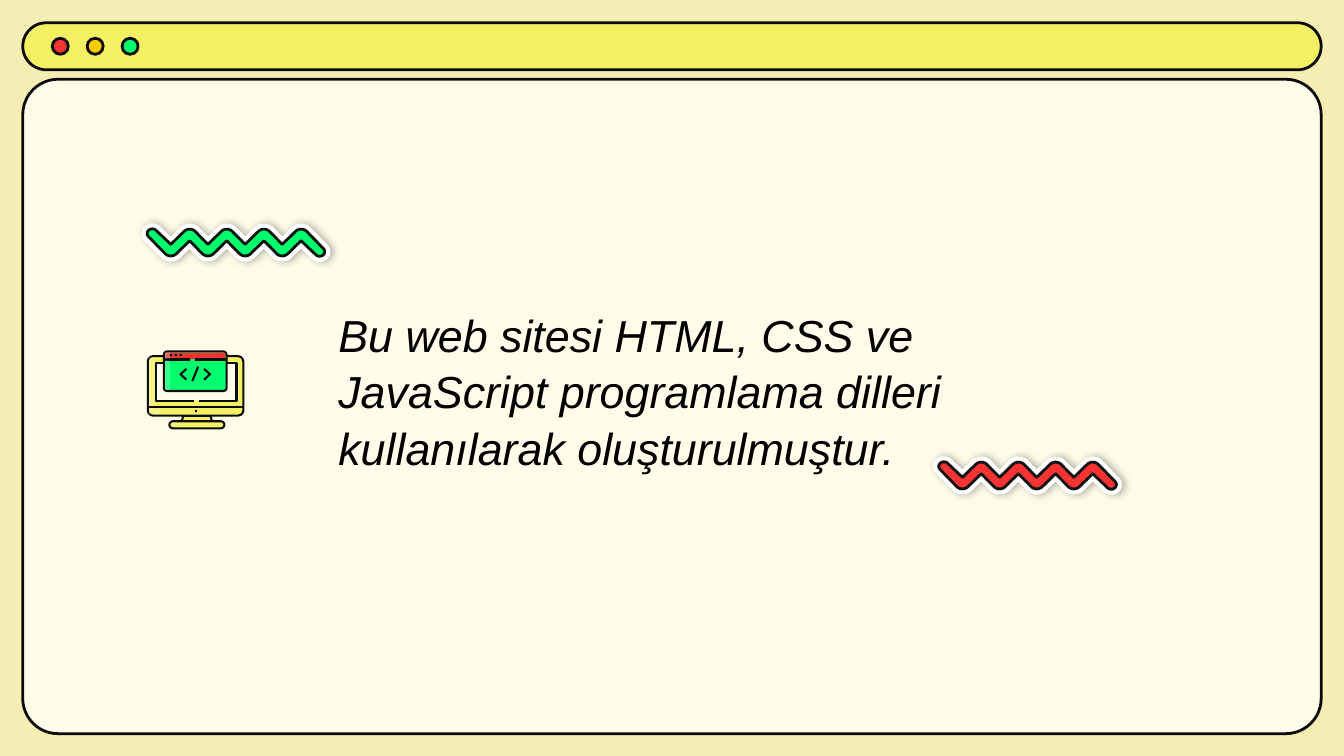
from dataclasses import dataclass

from lxml import etree
from pptx import Presentation
from pptx.dml.color import RGBColor
from pptx.enum.shapes import MSO_CONNECTOR, MSO_SHAPE
from pptx.enum.text import MSO_ANCHOR, MSO_AUTO_SIZE, PP_ALIGN
from pptx.oxml.ns import qn
from pptx.util import Pt

RECT = MSO_SHAPE.RECTANGLE
ROUND = MSO_SHAPE.ROUNDED_RECTANGLE
OVAL = MSO_SHAPE.OVAL
STRAIGHT = MSO_CONNECTOR.STRAIGHT
TOP = MSO_ANCHOR.TOP
LEFT = PP_ALIGN.LEFT
GROW = MSO_AUTO_SIZE.SHAPE_TO_FIT_TEXT


@dataclass(frozen=True)
class Theme:
    sand: str = "F5EDB3"
    cream: str = "FFFCEA"
    yellow: str = "F3F064"
    red: str = "F53333"
    amber: str = "FFCC00"
    green: str = "00FF6C"
    ink: str = "0B0B0B"
    edge: str = "131313"
    white: str = "FFFFFF"
    black: str = "000000"
    font: str = "Arial"
    size: float = 24
    frame: float = 1.5
    halo: float = 6
    thin: float = 1.1


class Pen:
    """Draws styled elements on the current slide, with lengths in points."""

    def __init__(self, theme, slide):
        self.theme = theme
        self.slide = slide
        self.shapes = slide.shapes

    def ground(self, color):
        fill = self.slide.background.fill
        fill.solid()
        fill.fore_color.rgb = RGBColor.from_string(color)

    def stroke(self, shape, color, width):
        shape.line.color.rgb = RGBColor.from_string(color)
        shape.line.width = Pt(width)

    def paint(self, shape, fill, line, width, alpha=None):
        shape.shadow.inherit = False
        if fill:
            shape.fill.solid()
            shape.fill.fore_color.rgb = RGBColor.from_string(fill)
        else:
            shape.fill.background()
        if alpha:
            tone = shape._element.spPr.find(qn("a:solidFill"))[0]
            etree.SubElement(tone, qn("a:alpha"), val=str(alpha * 1000))
        if line:
            self.stroke(shape, line, width)
        else:
            shape.line.fill.background()
        return shape

    def box(self, kind, x, y, w, h, fill, line=None, width=0, turn=None, alpha=None):
        shape = self.shapes.add_shape(kind, Pt(x), Pt(y), Pt(w), Pt(h))
        if turn is not None:
            shape.adjustments[0] = turn
        return self.paint(shape, fill, line, width, alpha)

    def form(self, points, fill, line, width, close=True):
        spots = [(Pt(x), Pt(y)) for x, y in points]
        maker = self.shapes.build_freeform(*spots[0])
        maker.add_line_segments(spots[1:], close=close)
        return self.paint(maker.convert_to_shape(), fill, line, width)

    def line(self, x1, y1, x2, y2, color, width):
        link = self.shapes.add_connector(STRAIGHT, Pt(x1), Pt(y1), Pt(x2), Pt(y2))
        self.stroke(link, color, width)
        etree.SubElement(link._element.spPr, qn("a:effectLst"))
        return link

    def glow(self, shape, color, alpha, blur, shift):
        effects = shape._element.spPr.find(qn("a:effectLst"))
        shade = etree.SubElement(effects, qn("a:outerShdw"), blurRad=str(Pt(blur)),
                                 dist=str(Pt(shift)), dir="0", algn="bl", rotWithShape="0")
        tone = etree.SubElement(shade, qn("a:srgbClr"), val=color)
        etree.SubElement(tone, qn("a:alpha"), val=str(alpha * 1000))

    def text(self, x, y, w, h, words):
        frame = self.shapes.add_textbox(Pt(x), Pt(y), Pt(w), Pt(h)).text_frame
        frame.word_wrap = True
        frame.auto_size = GROW
        frame.vertical_anchor = TOP
        para = frame.paragraphs[0]
        para.alignment = LEFT
        para.line_spacing = 1.05
        run = para.add_run()
        run.text = words
        run.font.name = self.theme.font
        run.font.size = Pt(self.theme.size)
        run.font.italic = True
        run.font.color.rgb = RGBColor.from_string(self.theme.black)

    def group(self, shapes):
        self.shapes.add_group_shape(shapes)


def curve(a, b, c, d, steps=8):
    """Return points along a cubic curve."""
    points = []
    for step in range(steps + 1):
        t = step / steps
        u = 1 - t
        points.append(tuple(u**3 * p + 3 * u * u * t * q + 3 * u * t * t * r + t**3 * s
                            for p, q, r, s in zip(a, b, c, d)))
    return points


def zigzag(x, y):
    """Return the outline of a wavy band, whose lower edge is its upper edge turned round."""
    wide, high, pitch = 95.8, 15.1, 19.9
    half = curve((1.4, 4.7), (0, 3.5), (0, 2), (1.2, 0.9))
    half += curve((1.2, 0.9), (2.2, 0), (4, 0), (5, 0.9))
    for peak in range(4):
        start = peak * pitch
        half.append((start + 13, 8.5))
        half += curve((start + 20.2, 1.5), (start + 21.8, 0), (start + 24.4, 0), (start + 26, 1.5))
    whole = half + [(wide - px, high - py) for px, py in half]
    return [(x + px, y + py) for px, py in whole]


def window(pen):
    """Draw the browser frame."""
    look = pen.theme
    pen.box(ROUND, 12.2, 42.5, 695.6, 350.6, look.cream, look.ink, look.frame, 0.054)
    pen.box(ROUND, 12.2, 12.2, 695.6, 25.2, look.yellow, look.ink, look.frame, 0.5)
    for index, color in enumerate((look.red, look.amber, look.green)):
        pen.box(OVAL, 28 + index * 18.7, 20.5, 8.6, 8.6, color, look.ink, look.frame)


def wave(pen, x, y, color):
    """Draw a zigzag sticker with a white halo."""
    look = pen.theme
    points = zigzag(x, y)
    halo = pen.form(points, color, look.white, look.halo)
    pen.glow(halo, look.black, 29, 4.5, 1.5)
    pen.group([halo, pen.form(points, color, look.edge, look.frame)])


def screen(pen):
    """Draw the computer icon."""
    look = pen.theme
    pencil = (look.ink, look.thin)
    rim = [(106.9, 214.6), (126.7, 214.6), (126.7, 194.4),
           (83.5, 194.4), (83.5, 214.6), (104, 214.6)]
    neck = [(98.2, 222.8), (112.8, 222.8), (113.6, 225.7), (97.4, 225.7)]
    parts = [
        pen.form(neck, look.yellow, *pencil),
        pen.box(ROUND, 90.7, 225.7, 29.5, 3.8, look.yellow, *pencil, 0.5),
        pen.box(ROUND, 79.2, 190.8, 51.2, 31.9, look.yellow, *pencil, 0.09),
        pen.line(79.2, 218.2, 130.4, 218.2, *pencil),
        pen.form(rim, look.cream, *pencil, close=False),
        pen.box(ROUND, 87.8, 188.3, 33.6, 21.2, look.green, *pencil, 0.08),
        pen.box(RECT, 88.4, 188.9, 32.4, 3.7, look.red),
        pen.line(87.8, 192.6, 101.7, 192.6, *pencil),
        pen.line(104.6, 192.6, 121.4, 192.6, *pencil),
        pen.box(OVAL, 104.4, 219.6, 1.3, 1.3, look.ink),
        pen.line(106.2, 196.4, 103, 204.2, *pencil),
    ]
    for side in (-1, 1):
        tick = [(104.6 + side * out, y) for out, y in ((4.7, 197.6), (7.9, 200.5), (4.7, 203.4))]
        parts.append(pen.form(tick, None, *pencil, close=False))
    for index in range(3):
        parts.append(pen.box(OVAL, 91 + index * 2.6, 189.6, 1.3, 1.3, look.ink))
    for x, y, w, h in ((79.8, 191.4, 3.1, 26.2), (84.1, 195, 1.6, 19), (79.8, 218.8, 6, 3.3),
                       (88.4, 188.9, 2.6, 3.2), (88.4, 193.2, 2.6, 15.7), (92, 226.3, 3, 2.6)):
        parts.append(pen.box(RECT, x, y, w, h, look.white, alpha=26))
    pen.group(parts)


def main():
    """Build and save the slide."""
    deck = Presentation()
    deck.slide_width, deck.slide_height = Pt(720), Pt(405)
    look = Theme()
    pen = Pen(look, deck.slides.add_slide(deck.slide_layouts[6]))
    pen.ground(look.sand)
    window(pen)
    wave(pen, 78.5, 122.4, look.green)
    wave(pen, 502.6, 247.2, look.red)
    pen.text(174.2, 159.8, 413.3, 94.3,
             "Bu web sitesi HTML, CSS ve JavaScript programlama dilleri "
             "kullanılarak oluşturulmuştur.")
    screen(pen)
    deck.save("out.pptx")


if __name__ == "__main__":
    main()
